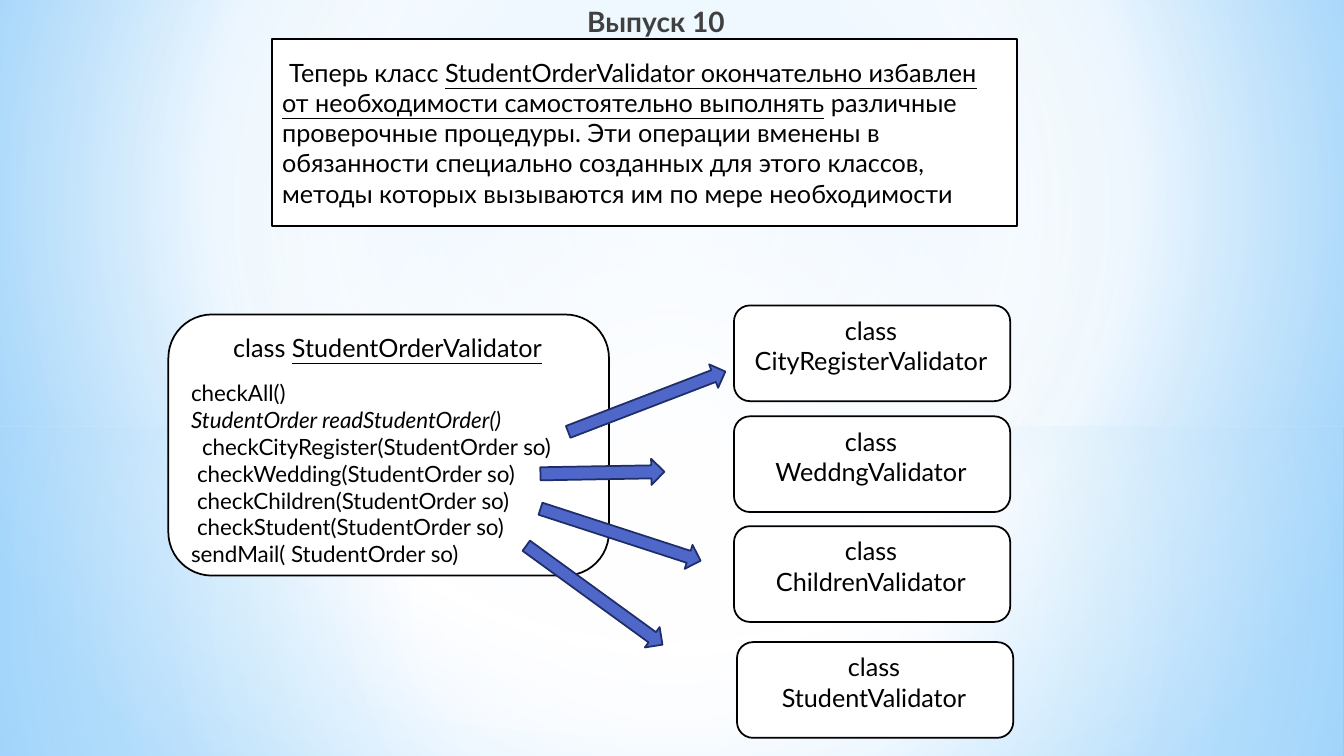
from dataclasses import dataclass

import lxml.etree
import pptx
import pptx.dml.color
import pptx.enum.shapes
import pptx.enum.text
import pptx.oxml.ns
import pptx.util

Inches = pptx.util.Inches
Pt = pptx.util.Pt
qn = pptx.oxml.ns.qn
MSO = pptx.enum.shapes.MSO_SHAPE
ALIGN = pptx.enum.text.PP_ALIGN
ANCHOR = pptx.enum.text.MSO_ANCHOR

COLORS = {
    "white": "FFFFFF", "black": "000000", "title": "404040",
    "arrow": "4E67C8", "arrow_edge": "1F2E69",
    "sky": "9ED5FF", "azure": "5BB9FF", "haze": "B4DCFA",
}
FONT = "Lato"


@dataclass
class Gradient:
    stops: list[tuple[int, str, int]]
    focus: tuple[int, int, int, int] | None = (50, 50, 50, 50)


@dataclass
class Layer:
    kind: int
    top: float
    height: float
    gradient: Gradient


@dataclass
class Run:
    text: str
    underline: bool = False
    italic: bool = False


@dataclass
class Line:
    runs: list[Run]
    size: int = 18
    align: int = ALIGN.LEFT
    indent: float = 0
    before: int = 0


@dataclass
class Box:
    kind: int
    left: float
    top: float
    width: float
    height: float
    lines: list[Line]
    anchor: int = ANCHOR.TOP


@dataclass
class Arrow:
    left: float
    top: float
    width: float
    height: float
    rotation: int


def rgb(name: str) -> pptx.dml.color.RGBColor:
    return pptx.dml.color.RGBColor.from_string(COLORS[name])


def apply_gradient(parent, gradient: Gradient) -> None:
    grad = lxml.etree.Element(qn("a:gradFill"), rotWithShape="1")
    stops = lxml.etree.SubElement(grad, qn("a:gsLst"))
    for pos, color, opacity in gradient.stops:
        gs = lxml.etree.SubElement(stops, qn("a:gs"), pos=str(pos * 1000))
        clr = lxml.etree.SubElement(gs, qn("a:srgbClr"), val=COLORS[color])
        if opacity < 100:
            lxml.etree.SubElement(clr, qn("a:alpha"), val=str(opacity * 1000))
    if gradient.focus:
        path = lxml.etree.SubElement(grad, qn("a:path"), path="circle")
        sides = {k: str(v * 1000) for k, v in zip("ltrb", gradient.focus)}
        lxml.etree.SubElement(path, qn("a:fillToRect"), **sides)
    else:
        lxml.etree.SubElement(grad, qn("a:lin"), ang="5400000", scaled="0")
    parent.replace(parent.find(qn("a:solidFill")), grad)


def add_shape(slide, kind: int, left: float, top: float, width: float,
              height: float, fill: str, line: str | None):
    sp = slide.shapes.add_shape(
        kind, Inches(left), Inches(top), Inches(width), Inches(height))
    sp.shadow.inherit = False
    sp.fill.solid()
    sp.fill.fore_color.rgb = rgb(fill)
    if line:
        sp.line.color.rgb = rgb(line)
        sp.line.width = Pt(1.25)
    else:
        sp.line.fill.background()
    return sp


def add_layer(slide, layer: Layer) -> None:
    sp = add_shape(slide, layer.kind, 0, layer.top, 13.33, layer.height, "white", None)
    apply_gradient(sp.element.spPr, layer.gradient)


def write_lines(tf, lines: list[Line], color: str = "black", bold: bool = False) -> None:
    tf.word_wrap = True
    for i, line in enumerate(lines):
        p = tf.add_paragraph() if i else tf.paragraphs[0]
        p.alignment = line.align
        p.space_before = Pt(line.before)
        if line.indent:
            p._p.get_or_add_pPr().set("indent", str(Inches(line.indent)))
        for run in line.runs:
            r = p.add_run()
            r.text = run.text
            r.font.name = FONT
            r.font.size = Pt(line.size)
            r.font.bold = bold
            r.font.underline = run.underline
            r.font.italic = run.italic
            r.font.color.rgb = rgb(color)


def add_box(slide, box: Box) -> None:
    sp = add_shape(slide, box.kind, box.left, box.top, box.width, box.height, "white", "black")
    tf = sp.text_frame
    tf.vertical_anchor = box.anchor
    tf.margin_right = Inches(0.12)
    write_lines(tf, box.lines)


def add_arrow(slide, arrow: Arrow) -> None:
    sp = add_shape(slide, MSO.RIGHT_ARROW, arrow.left, arrow.top,
                   arrow.width, arrow.height, "arrow", "arrow_edge")
    sp.rotation = arrow.rotation


def add_title(slide, text: str) -> None:
    sp = slide.shapes.add_textbox(Inches(2.48), 0, Inches(7.85), Inches(0.58))
    sp.text_frame.margin_left = Inches(0.3)
    write_lines(sp.text_frame, [Line([Run(text)], 20, ALIGN.CENTER)], "title", True)


def validator_box(name: str, left: float, top: float) -> Box:
    lines = [Line([Run(text)], align=ALIGN.CENTER) for text in ("class", name)]
    return Box(MSO.ROUNDED_RECTANGLE, left, top, 2.74, 0.95, lines)


BACKGROUND = Gradient([(0, "sky", 100), (60, "white", 100), (100, "azure", 100)], (20, 10, 20, 60))
LAYERS = [
    Layer(MSO.RECTANGLE, 4.23, 3.27,
          Gradient([(0, "white", 91), (37, "white", 76), (100, "haze", 79)])),
    Layer(MSO.RECTANGLE, 0, 4.23,
          Gradient([(0, "white", 89), (48, "white", 62), (100, "haze", 79)])),
    Layer(MSO.RECTANGLE, 2.9, 2.5,
          Gradient([(0, "white", 0), (29, "white", 30), (45, "haze", 40),
                    (55, "white", 26), (65, "haze", 60), (100, "white", 0)], None)),
    Layer(MSO.OVAL, 1.75, 5.58, Gradient([(0, "white", 100), (54, "white", 0)])),
]
METHODS = [
    Line([Run("checkAll()")], 16, before=12),
    Line([Run("StudentOrder readStudentOrder()", italic=True)], 16),
    Line([Run("checkCityRegister(StudentOrder so)")], 16, indent=0.11),
    Line([Run("checkWedding(StudentOrder so)")], 16, indent=0.06),
    Line([Run("checkChildren(StudentOrder so)")], 16, indent=0.06),
    Line([Run("checkStudent(StudentOrder so)")], 16, indent=0.06),
    Line([Run("sendMail( StudentOrder so)")], 16),
]
HEADING = Line([Run("class "), Run("StudentOrderValidator", underline=True)], align=ALIGN.CENTER)
SUMMARY = Line([
    Run("Теперь класс "),
    Run("StudentOrderValidator окончательно избавлен от необходимости "
        "самостоятельно выполнять", underline=True),
    Run(" различные проверочные процедуры. Эти операции вменены в обязанности "
        "специально созданных для этого классов, методы которых вызываются им "
        "по мере необходимости"),
], indent=0.07)
BOXES = [
    Box(MSO.ROUNDED_RECTANGLE, 1.67, 3.12, 4.37, 2.59, [HEADING, *METHODS]),
    Box(MSO.FLOWCHART_PROCESS, 2.7, 0.39, 7.39, 1.85, [SUMMARY], ANCHOR.MIDDLE),
    validator_box("CityRegisterValidator", 7.28, 3.03),
    validator_box("WeddngValidator", 7.28, 4.13),
    validator_box("ChildrenValidator", 7.28, 5.22),
    validator_box("StudentValidator", 7.31, 6.37),
]
ARROWS = [
    Arrow(5.58, 3.86, 1.67, 0.25, 339),
    Arrow(5.36, 4.56, 1.23, 0.26, 359),
    Arrow(5.32, 5.18, 1.67, 0.25, 18),
    Arrow(5.06, 5.78, 1.67, 0.25, 36),
]


def main() -> None:
    prs = pptx.Presentation()
    prs.slide_width = Inches(13.33)
    prs.slide_height = Inches(7.5)
    slide = prs.slides.add_slide(prs.slide_layouts[6])
    slide.background.fill.solid()
    apply_gradient(slide.element.find(".//" + qn("p:bgPr")), BACKGROUND)
    for layer in LAYERS:
        add_layer(slide, layer)
    for box in BOXES:
        add_box(slide, box)
    add_title(slide, "Выпуск 10")
    for arrow in ARROWS:
        add_arrow(slide, arrow)
    prs.save("out.pptx")


if __name__ == "__main__":
    main()
